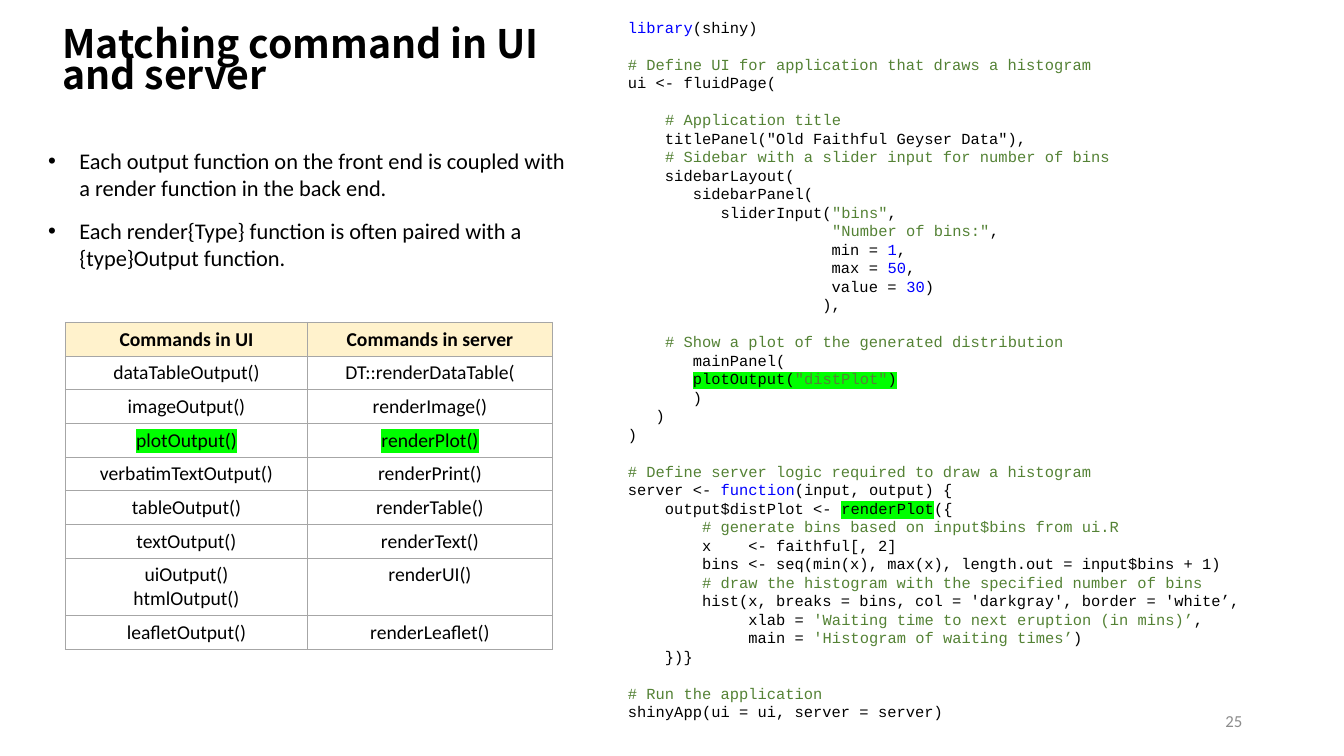
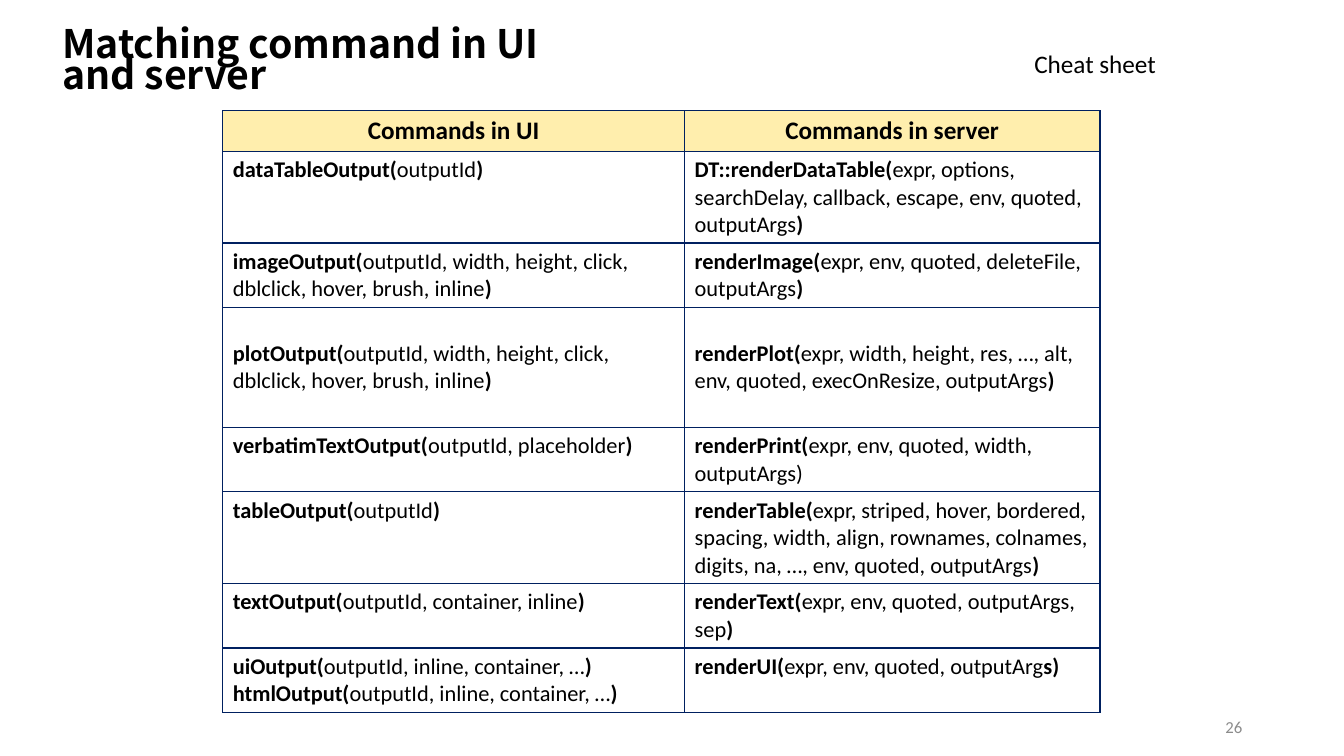
from dataclasses import dataclass
from itertools import groupby

from lxml.etree import SubElement
from pptx import Presentation
from pptx.dml.color import RGBColor
from pptx.enum.text import MSO_ANCHOR, PP_ALIGN
from pptx.oxml.ns import qn
from pptx.util import Inches, Pt


@dataclass(frozen=True)
class Theme:
    text_font: str = "Calibri"
    title_font: str = "Noto Sans CJK KR"
    code_font: str = "Courier New"
    black: str = "000000"
    gray: str = "8C8C8C"
    green: str = "548235"
    blue: str = "0000FF"
    highlight: str = "00FF00"
    pale_border: str = "A6A6A6"
    navy_border: str = "002060"
    pale_header: str = "FFF2CC"
    strong_header: str = "FFEEAD"
    title_size: float = 28
    large_size: float = 18
    body_size: float = 16
    small_size: float = 14
    number_size: float = 12
    code_size: float = 11
    code_pitch: float = 13.2


theme = Theme()

# Marks switch a style on and off: ~ green, ^ blue, ¤ highlight, * bold
MARKS = "~^¤*"


def write_text(frame, text, size, font=theme.text_font, color=theme.black, bold=False,
               align=PP_ALIGN.LEFT, spacing=None, gap=0, bullet=False):
    """Write marked text, a paragraph a line; an empty line becomes a gap in points."""
    frame.word_wrap = True
    space_before = 0
    paragraph = None
    for line in text.split("\n"):
        if not line:
            space_before += gap
            continue
        paragraph = frame.add_paragraph() if paragraph else frame.paragraphs[0]
        properties = paragraph._p.get_or_add_pPr()
        if bullet:
            properties.set("marL", str(Inches(0.31)))
            properties.set("indent", str(-Inches(0.31)))
            SubElement(properties, qn("a:buFont"), typeface="Arial")
            SubElement(properties, qn("a:buChar"), char="•")
        if "\t" in line:
            tabs = SubElement(properties, qn("a:tabLst"))
            SubElement(tabs, qn("a:tab"), pos=str(Inches(3.4)), algn="l")
        paragraph.alignment = align
        if spacing:
            paragraph.line_spacing = spacing
        if space_before:
            paragraph.space_before = Pt(space_before)
            space_before = 0
        paragraph.font.name = font
        paragraph.font.size = Pt(size)
        paragraph.font.bold = bold
        paragraph.font.color.rgb = RGBColor.from_string(color)

        active = set()
        for is_mark, group in groupby(line, key=lambda character: character in MARKS):
            if is_mark:
                active ^= set(group)
                continue
            run = paragraph.add_run()
            run.text = "".join(group)
            if "*" in active:
                run.font.bold = True
            for mark, mark_color in (("~", theme.green), ("^", theme.blue)):
                if mark in active:
                    run.font.color.rgb = RGBColor.from_string(mark_color)
            if "¤" in active:
                highlight = SubElement(run._r.get_or_add_rPr(), qn("a:highlight"))
                SubElement(highlight, qn("a:srgbClr"), val=theme.highlight)


def add_command_table(slide, left, top, widths, heights, rows, header_size, size,
                      align, header_fill, border):
    table = slide.shapes.add_table(
        len(rows), len(widths), Inches(left), Inches(top),
        Inches(sum(widths)), Inches(sum(heights))).table
    table.first_row = False
    table.horz_banding = False
    for column, width in zip(table.columns, widths):
        column.width = Inches(width)
    for row_index, (row, height) in enumerate(zip(rows, heights)):
        table.rows[row_index].height = Inches(height)
        is_header = row_index == 0
        for column_index, text in enumerate(row):
            cell = table.cell(row_index, column_index)
            for side in ("lnL", "lnR", "lnT", "lnB"):
                line = SubElement(cell._tc.get_or_add_tcPr(), qn(f"a:{side}"), w=str(Pt(1)))
                fill = SubElement(line, qn("a:solidFill"))
                SubElement(fill, qn("a:srgbClr"), val=border)
            if is_header:
                cell.fill.solid()
                cell.fill.fore_color.rgb = RGBColor.from_string(header_fill)
            else:
                cell.fill.background()
            write_text(cell.text_frame, text, header_size if is_header else size,
                       bold=is_header, align=PP_ALIGN.CENTER if is_header else align)
    return table


HEADERS = ("Commands in UI", "Commands in server")

PAIRS = [
    HEADERS,
    ("dataTableOutput()", "DT::renderDataTable("),
    ("imageOutput()", "renderImage()"),
    ("¤plotOutput()¤", "¤renderPlot()¤"),
    ("verbatimTextOutput()", "renderPrint()"),
    ("tableOutput()", "renderTable()"),
    ("textOutput()", "renderText()"),
    ("uiOutput()\nhtmlOutput()", "renderUI()"),
    ("leafletOutput()", "renderLeaflet()"),
]

SIGNATURES = [
    HEADERS,
    ("*dataTableOutput(*outputId*)*",
     "*DT::renderDataTable(*expr, options, searchDelay, callback, escape, env, quoted, "
     "outputArgs*)*"),
    ("*imageOutput(*outputId, width, height, click, dblclick, hover, brush, inline*)*",
     "*renderImage(*expr, env, quoted, deleteFile, outputArgs*)*"),
    ("*plotOutput(*outputId, width, height, click, dblclick, hover, brush, inline*)*",
     "*renderPlot(*expr, width, height, res, …, alt, env, quoted, execOnResize, outputArgs*)*"),
    ("*verbatimTextOutput(*outputId, placeholder*)*",
     "*renderPrint(*expr, env, quoted, width, outputArgs)"),
    ("*tableOutput(*outputId*)*",
     "*renderTable(*expr, striped, hover, bordered, spacing, width, align, rownames, "
     "colnames, digits, na, …, env, quoted, outputArgs*)*"),
    ("*textOutput(*outputId, container, inline*)*",
     "*renderText(*expr, env, quoted, outputArgs, sep*)*"),
    ("*uiOutput(*outputId, inline, container, …*)*\n"
     "*htmlOutput(*outputId, inline, container, …*)*",
     "*renderUI(*expr, env, quoted, outputArg*s)*"),
]

BULLETS = """\
Each output function on the front end is coupled with a render function in the back end.

Each render{Type} function is often paired with a {type}Output function."""

UI_CODE = """\
^library^(shiny)

~# Define UI for application that draws a histogram~
ui <- fluidPage(

    ~# Application title~
    titlePanel("Old Faithful Geyser Data"),
    ~# Sidebar with a slider input for number of bins~
    sidebarLayout(
       sidebarPanel(
          sliderInput(~"bins"~,
                      ~"Number of bins:"~,
                      min = ^1^,
                      max = ^50^,
                      value = ^30^)
                     ),
"""

PANEL_CODE = """\
    ~# Show a plot of the generated distribution~
       mainPanel(
       ¤plotOutput(~"distPlot"~)\t¤
       )
   )
)
"""

SERVER_CODE = """\
~# Define server logic required to draw a histogram~
server <- ^function^(input, output) {
    output$distPlot <- ¤renderPlot¤({
        ~# generate bins based on input$bins from ui.R~
        x    <- faithful[, 2]
        bins <- seq(min(x), max(x), length.out = input$bins + 1)
        ~# draw the histogram with the specified number of bins~
        hist(x, breaks = bins, col = 'darkgray', border = 'white’,
             xlab = ~'Waiting time to next eruption (in mins)’~,
             main = ~'Histogram of waiting times’~)
    })}
"""

RUN_CODE = """\
~# Run the application~
shinyApp(ui = ui, server = server)"""

presentation = Presentation()
presentation.slide_width = Inches(13.33)
presentation.slide_height = Inches(7.5)

# Title and slide number, shared by both slides
slides = []
for number, number_top in ((25, 6.95), (26, 7.01)):
    slide = presentation.slides.add_slide(presentation.slide_layouts[6])
    slides.append(slide)
    title = slide.shapes.add_textbox(Inches(0.52), Inches(0.19), Inches(5.4), Inches(0.91))
    title.text_frame.vertical_anchor = MSO_ANCHOR.MIDDLE
    write_text(title.text_frame, "Matching command in UI and server", theme.title_size,
               font=theme.title_font, bold=True, spacing=0.65)
    footer = slide.shapes.add_textbox(Inches(9.42), Inches(number_top), Inches(3), Inches(0.4))
    footer.text_frame.vertical_anchor = MSO_ANCHOR.MIDDLE
    write_text(footer.text_frame, str(number), theme.number_size, color=theme.gray,
               align=PP_ALIGN.RIGHT)

code_slide, cheat_sheet_slide = slides

# Paired commands beside the sample program
bullets = code_slide.shapes.add_textbox(Inches(0.38), Inches(1.41), Inches(5.47), Inches(1.35))
write_text(bullets.text_frame, BULLETS, theme.body_size, gap=12, bullet=True)

add_command_table(code_slide, 0.65, 3.2, (2.4, 2.43), [0.33] * 7 + [0.57, 0.33], PAIRS,
                  theme.small_size, theme.small_size, PP_ALIGN.CENTER,
                  theme.pale_header, theme.pale_border)

code = code_slide.shapes.add_textbox(Inches(6.13), Inches(0.13), Inches(6.66), Inches(7.12))
write_text(code.text_frame, "\n".join((UI_CODE, PANEL_CODE, SERVER_CODE, RUN_CODE)),
           theme.code_size, font=theme.code_font,
           spacing=Pt(theme.code_pitch), gap=theme.code_pitch)

# Cheat sheet with the full signatures
signature_table = add_command_table(
    cheat_sheet_slide, 2.21, 1.1, (4.58, 4.12),
    (0.4, 0.91, 0.64, 1.19, 0.64, 0.91, 0.64, 0.64), SIGNATURES,
    theme.large_size, theme.body_size, PP_ALIGN.LEFT,
    theme.strong_header, theme.navy_border)
for cell in signature_table.rows[3].cells:
    cell.vertical_anchor = MSO_ANCHOR.MIDDLE

label = cheat_sheet_slide.shapes.add_textbox(
    Inches(10.16), Inches(0.43), Inches(1.57), Inches(0.4))
write_text(label.text_frame, "Cheat sheet", theme.large_size)

presentation.save("out.pptx")
